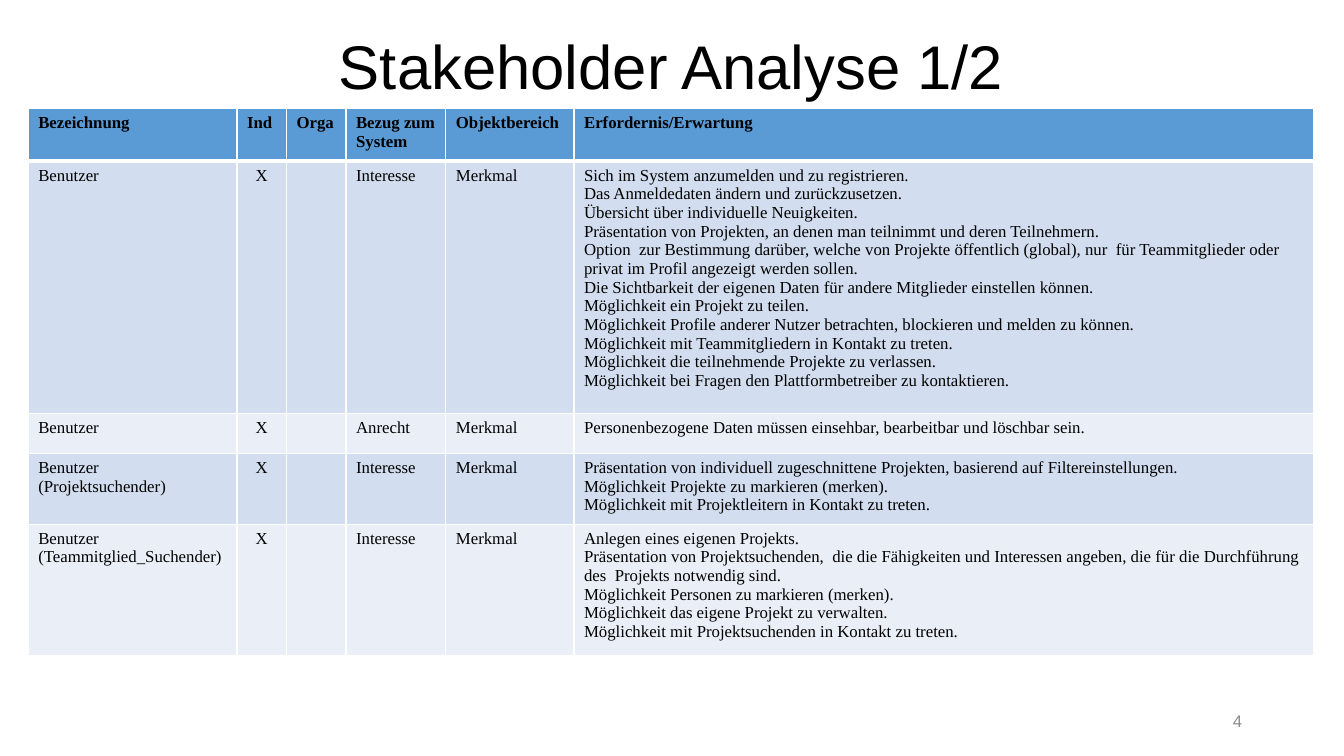
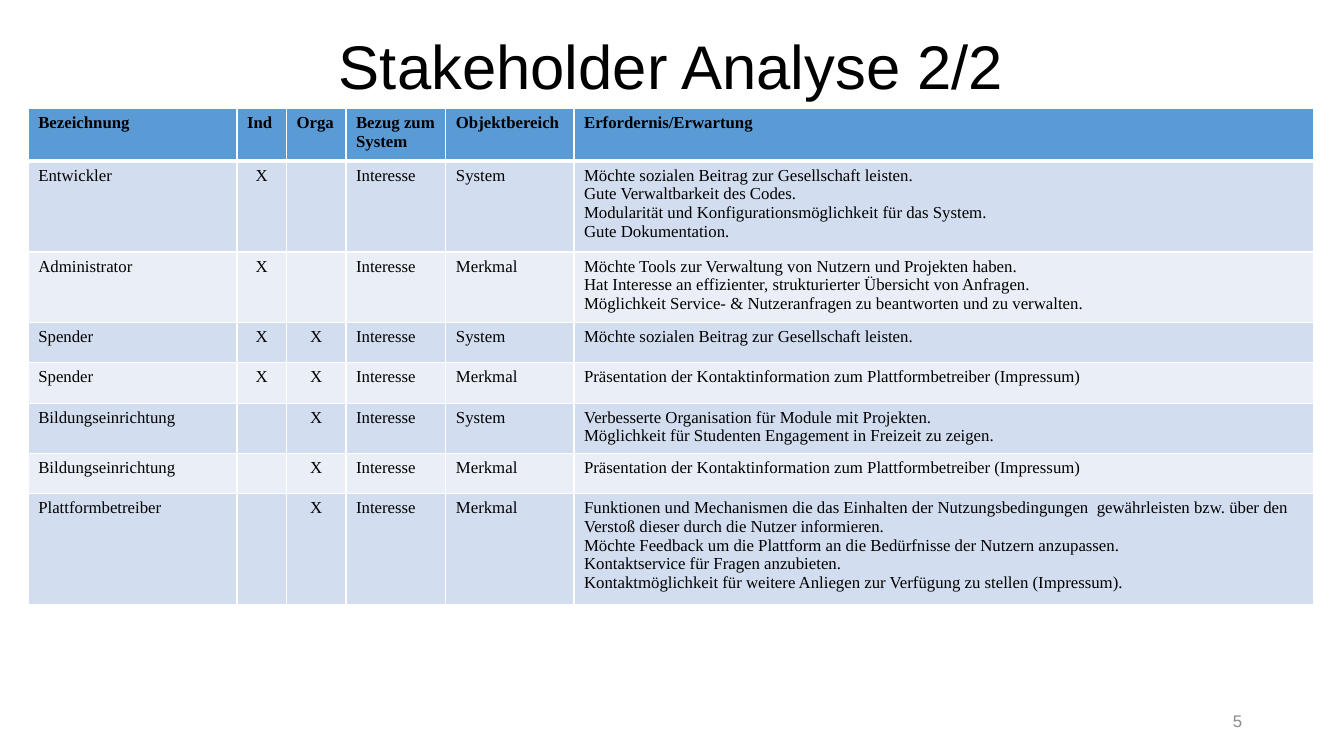
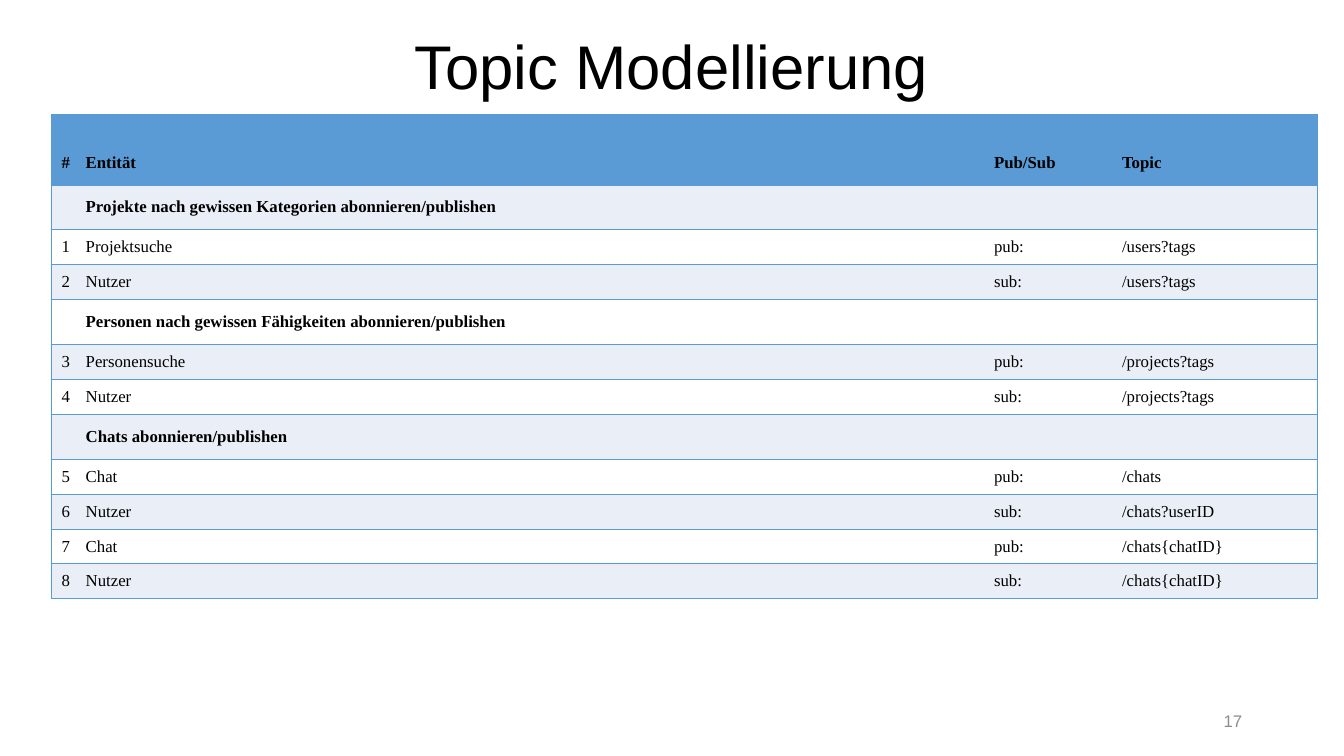
import dataclasses

import lxml.etree
import pptx
import pptx.dml.color
import pptx.enum.text
import pptx.oxml.ns
import pptx.util

ALIGN = pptx.enum.text.PP_ALIGN
ANCHOR = pptx.enum.text.MSO_ANCHOR

SLIDE_WIDTH = pptx.util.Inches(13.33)
SLIDE_HEIGHT = pptx.util.Inches(7.5)
TITLE_PLACE = (6.83, 1.2, 86.27, 15.87)
NUMBER_PLACE = (70.67, 92.67, 22.5, 5.33)

BLACK, WHITE, GREY = "000000", "FFFFFF", "8C8C8C"
BLUE, MID_BLUE, PALE_BLUE = "5B9BD5", "D2DEEF", "EAEFF7"
HEADING_FONT, TABLE_FONT = "Arial", "Times New Roman"


@dataclasses.dataclass
class Look:
    """Layout and styling of a table, with lengths in percent of the slide."""
    left: float
    top: float
    width: float
    columns: tuple
    header_height: float
    row_height: float
    group_height: float
    bands: tuple
    rule: str
    inner_verticals: bool
    centred: tuple
    header_anchor: object
    header_bottom: float
    body_anchor: object


STAKEHOLDER_LOOK = Look(
    left=2.1, top=14.4, width=95.65, columns=(2.07, 0.49, 0.59, 0.99, 1.27, 7.33),
    header_height=6.93, row_height=5.33, group_height=5.33,
    bands=(MID_BLUE, PALE_BLUE), rule=WHITE, inner_verticals=True, centred=(1, 2),
    header_anchor=ANCHOR.TOP, header_bottom=0.05, body_anchor=ANCHOR.TOP)

TOPIC_LOOK = Look(
    left=3.83, top=15.2, width=93.92, columns=(0.2, 9.01, 1.27, 2.04),
    header_height=9.2, row_height=4.6, group_height=6,
    bands=(PALE_BLUE, WHITE), rule=BLUE, inner_verticals=False, centred=(),
    header_anchor=ANCHOR.BOTTOM, header_bottom=0.12, body_anchor=ANCHOR.MIDDLE)

STAKEHOLDER_HEADER = ("Bezeichnung", "Ind", "Orga", "Bezug zum System",
                      "Objektbereich", "Erfordernis/Erwartung")

USERS = [
    ("Benutzer", "X", "", "Interesse", "Merkmal",
     "Sich im System anzumelden und zu registrieren.\n"
     "Das Anmeldedaten ändern und zurückzusetzen.\n"
     "Übersicht über individuelle Neuigkeiten.\n"
     "Präsentation von Projekten, an denen man teilnimmt und deren Teilnehmern.\n"
     "Option  zur Bestimmung darüber, welche von Projekte öffentlich (global), nur  für "
     "Teammitglieder oder privat im Profil angezeigt werden sollen.\n"
     "Die Sichtbarkeit der eigenen Daten für andere Mitglieder einstellen können.\n"
     "Möglichkeit ein Projekt zu teilen.\n"
     "Möglichkeit Profile anderer Nutzer betrachten, blockieren und melden zu können.\n"
     "Möglichkeit mit Teammitgliedern in Kontakt zu treten.\n"
     "Möglichkeit die teilnehmende Projekte zu verlassen.\n"
     "Möglichkeit bei Fragen den Plattformbetreiber zu kontaktieren."),
    ("Benutzer", "X", "", "Anrecht", "Merkmal",
     "Personenbezogene Daten müssen einsehbar, bearbeitbar und löschbar sein."),
    ("Benutzer\n(Projektsuchender)", "X", "", "Interesse", "Merkmal",
     "Präsentation von individuell zugeschnittene Projekten, basierend auf "
     "Filtereinstellungen.\n"
     "Möglichkeit Projekte zu markieren (merken).\n"
     "Möglichkeit mit Projektleitern in Kontakt zu treten."),
    ("Benutzer\n(Teammitglied_Suchender)", "X", "", "Interesse", "Merkmal",
     "Anlegen eines eigenen Projekts.\n"
     "Präsentation von Projektsuchenden,  die die Fähigkeiten und Interessen angeben, "
     "die für die Durchführung des  Projekts notwendig sind.\n"
     "Möglichkeit Personen zu markieren (merken).\n"
     "Möglichkeit das eigene Projekt zu verwalten.\n"
     "Möglichkeit mit Projektsuchenden in Kontakt zu treten."),
]

CONTACT_INFO = "Präsentation der Kontaktinformation zum Plattformbetreiber (Impressum)"
SOCIAL_WISH = "Möchte sozialen Beitrag zur Gesellschaft leisten."

OTHERS = [
    ("Entwickler", "X", "", "Interesse", "System",
     SOCIAL_WISH + "\n"
     "Gute Verwaltbarkeit des Codes.\n"
     "Modularität und Konfigurationsmöglichkeit für das System.\n"
     "Gute Dokumentation."),
    ("Administrator", "X", "", "Interesse", "Merkmal",
     "Möchte Tools zur Verwaltung von Nutzern und Projekten haben.\n"
     "Hat Interesse an effizienter, strukturierter Übersicht von Anfragen.\n"
     "Möglichkeit Service- & Nutzeranfragen zu beantworten und zu verwalten."),
    ("Spender", "X", "X", "Interesse", "System", SOCIAL_WISH),
    ("Spender", "X", "X", "Interesse", "Merkmal", CONTACT_INFO),
    ("Bildungseinrichtung", "", "X", "Interesse", "System",
     "Verbesserte Organisation für Module mit Projekten.\n"
     "Möglichkeit für Studenten Engagement in Freizeit zu zeigen."),
    ("Bildungseinrichtung", "", "X", "Interesse", "Merkmal", CONTACT_INFO),
    ("Plattformbetreiber", "", "X", "Interesse", "Merkmal",
     "Funktionen und Mechanismen die das Einhalten der Nutzungsbedingungen  gewährleisten "
     "bzw. über den Verstoß dieser durch die Nutzer informieren.\n"
     "Möchte Feedback um die Plattform an die Bedürfnisse der Nutzern anzupassen.\n"
     "Kontaktservice für Fragen anzubieten.\n"
     "Kontaktmöglichkeit für weitere Anliegen zur Verfügung zu stellen (Impressum)."),
]

TOPIC_HEADER = ("#", "Entität", "Pub/Sub", "Topic")

TOPICS = [
    ("", "Projekte nach gewissen Kategorien abonnieren/publishen", "", ""),
    ("1", "Projektsuche", "pub:", "/users?tags"),
    ("2", "Nutzer", "sub:", "/users?tags"),
    ("", "Personen nach gewissen Fähigkeiten abonnieren/publishen", "", ""),
    ("3", "Personensuche", "pub:", "/projects?tags"),
    ("4", "Nutzer", "sub:", "/projects?tags"),
    ("", "Chats abonnieren/publishen", "", ""),
    ("5", "Chat", "pub:", "/chats"),
    ("6", "Nutzer", "sub:", "/chats?userID"),
    ("7", "Chat", "pub:", "/chats{chatID}"),
    ("8", "Nutzer", "sub:", "/chats{chatID}"),
]


def color(code):
    """Return the colour for a hex string."""
    return pptx.dml.color.RGBColor.from_string(code)


def across(percent):
    """Return a share of the slide width."""
    return round(SLIDE_WIDTH * percent / 100)


def down(percent):
    """Return a share of the slide height."""
    return round(SLIDE_HEIGHT * percent / 100)


def place(left, top, width, height):
    """Return a box given in percent of the slide."""
    return across(left), down(top), across(width), down(height)


def style(frame, size, face, code, align, bold=False):
    """Format every paragraph of a text frame alike."""
    for paragraph in frame.paragraphs:
        paragraph.alignment = align
        paragraph.font.size = pptx.util.Pt(size)
        paragraph.font.name = face
        paragraph.font.bold = bold
        paragraph.font.color.rgb = color(code)


def add_slide(deck, heading, number):
    """Add a slide with its title and slide number."""
    slide = deck.slides.add_slide(deck.slide_layouts[5])
    title = slide.shapes.title
    title.left, title.top, title.width, title.height = place(*TITLE_PLACE)
    title.text_frame.text = heading
    title.text_frame.vertical_anchor = ANCHOR.MIDDLE
    title.text_frame.paragraphs[0].line_spacing = 0.9
    style(title.text_frame, 44, HEADING_FONT, BLACK, ALIGN.CENTER)

    footer = slide.shapes.add_textbox(*place(*NUMBER_PLACE)).text_frame
    footer.word_wrap = True
    footer.vertical_anchor = ANCHOR.MIDDLE
    footer.text = str(number)
    style(footer, 12, HEADING_FONT, GREY, ALIGN.RIGHT)
    return slide


def add_border(cell, side, code, width):
    """Draw one side of a cell, or clear it when the width is zero."""
    qn = pptx.oxml.ns.qn
    line = lxml.etree.SubElement(cell._tc.get_or_add_tcPr(), qn("a:ln" + side))
    line.set("w", str(pptx.util.Pt(width)))
    if width:
        fill = lxml.etree.SubElement(line, qn("a:solidFill"))
        lxml.etree.SubElement(fill, qn("a:srgbClr")).set("val", code)
    else:
        lxml.etree.SubElement(line, qn("a:noFill"))


def rule_cell(cell, look, row, column):
    """Draw the borders of a cell, heavier below the header."""
    last = len(look.columns) - 1
    widths = {
        "L": 1 if look.inner_verticals or column == 0 else 0,
        "R": 1 if look.inner_verticals or column == last else 0,
        "T": 3 if row == 1 else 1,
        "B": 3 if row == 0 else 1,
    }
    for side, width in widths.items():
        add_border(cell, side, look.rule, width)


def fill_cell(cell, text, look, row, column, bold):
    """Write and format one cell."""
    header = row == 0
    rule_cell(cell, look, row, column)
    cell.fill.solid()
    cell.fill.fore_color.rgb = color(BLUE if header else look.bands[(row - 1) % 2])
    cell.vertical_anchor = look.header_anchor if header else look.body_anchor
    if header:
        cell.margin_bottom = pptx.util.Inches(look.header_bottom)
    cell.text_frame.text = text
    centred = column in look.centred and not header
    style(cell.text_frame, 12, TABLE_FONT, BLACK,
          ALIGN.CENTER if centred else ALIGN.LEFT, bold)


def add_table(slide, look, header, entries):
    """Add a table; entries without a first value are group headings."""
    heights = [look.header_height] + [
        look.row_height if entry[0] else look.group_height for entry in entries]
    table = slide.shapes.add_table(
        len(heights), len(look.columns),
        *place(look.left, look.top, look.width, sum(heights))).table
    table.first_row = table.horz_banding = False
    for column, weight in zip(table.columns, look.columns):
        column.width = across(look.width * weight / sum(look.columns))
    for row, (values, height) in enumerate(zip([header, *entries], heights)):
        table.rows[row].height = down(height)
        bold = row == 0 or not values[0]
        for column, text in enumerate(values):
            fill_cell(table.cell(row, column), text, look, row, column, bold)


def main():
    """Build the three slides."""
    deck = pptx.Presentation()
    deck.slide_width, deck.slide_height = SLIDE_WIDTH, SLIDE_HEIGHT
    for heading, number, look, header, entries in (
            ("Stakeholder Analyse 1/2", 4, STAKEHOLDER_LOOK, STAKEHOLDER_HEADER, USERS),
            ("Stakeholder Analyse 2/2", 5, STAKEHOLDER_LOOK, STAKEHOLDER_HEADER, OTHERS),
            ("Topic Modellierung", 17, TOPIC_LOOK, TOPIC_HEADER, TOPICS)):
        add_table(add_slide(deck, heading, number), look, header, entries)
    deck.save("out.pptx")


if __name__ == "__main__":
    main()
